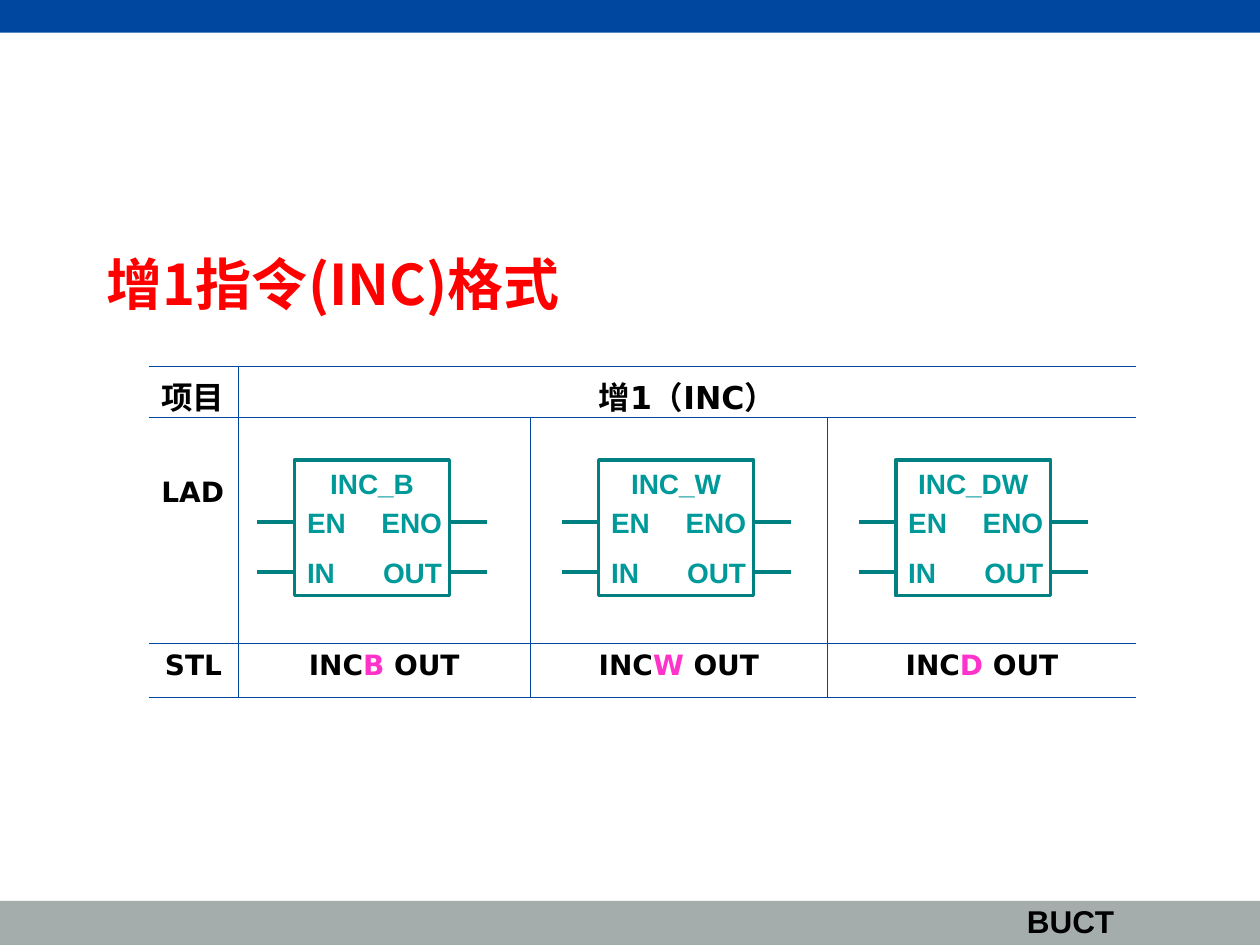
from lxml.etree import SubElement
from pptx import Presentation
from pptx.dml.color import RGBColor
from pptx.enum.shapes import MSO_CONNECTOR, MSO_SHAPE
from pptx.enum.text import MSO_ANCHOR, PP_ALIGN
from pptx.oxml.ns import qn
from pptx.util import Cm, Pt

BLUE = RGBColor(0x00, 0x47, 0xA0)
GRAY = RGBColor(0xA5, 0xAD, 0xAC)
RED = RGBColor(0xFF, 0x00, 0x00)
BLACK = RGBColor(0x00, 0x00, 0x00)
PINK = RGBColor(0xFF, 0x33, 0xCC)
TEAL = RGBColor(0x00, 0x80, 0x80)
LIGHT_TEAL = RGBColor(0x00, 0x99, 0x99)

BLOCKS = [("INC_B", 5.94), ("INC_W", 12.07), ("INC_DW", 18.06)]
BLOCK_TOP, BLOCK_W, BLOCK_H = 9.27, 3.12, 2.74
LEAD = 0.75
LABEL_H = 0.94
PINS = [("EN", "ENO", 10.52), ("IN", "OUT", 11.53)]


def style(p, size, font, color, align=PP_ALIGN.LEFT):
    p.alignment = align
    p.font.size = Pt(size)
    p.font.name = font
    p.font.bold = True
    p.font.color.rgb = color


def add_text(shapes, text, x, y, w, h, size, font, color, align=PP_ALIGN.LEFT):
    tf = shapes.add_textbox(Cm(x), Cm(y), Cm(w), Cm(h)).text_frame
    tf.word_wrap = True
    tf.vertical_anchor = MSO_ANCHOR.MIDDLE
    p = tf.paragraphs[0]
    p.add_run().text = text
    style(p, size, font, color, align)


def add_rect(shapes, x, y, w, h, fill=None, line=None):
    sp = shapes.add_shape(MSO_SHAPE.RECTANGLE, Cm(x), Cm(y), Cm(w), Cm(h))
    sp.shadow.inherit = False
    if fill is None:
        sp.fill.background()
    else:
        sp.fill.solid()
        sp.fill.fore_color.rgb = fill
    if line is None:
        sp.line.fill.background()
    else:
        sp.line.color.rgb = line
        sp.line.width = Pt(2)


def add_wire(shapes, x, y):
    wire = shapes.add_connector(MSO_CONNECTOR.STRAIGHT, Cm(x), Cm(y), Cm(x + LEAD), Cm(y))
    wire.line.color.rgb = TEAL
    wire.line.width = Pt(2)
    SubElement(wire._element.spPr, qn("a:effectLst"))


def add_block(shapes, name, x):
    group = shapes.add_group_shape().shapes
    add_rect(group, x, BLOCK_TOP, BLOCK_W, BLOCK_H, line=TEAL)
    add_text(group, name, x, BLOCK_TOP, BLOCK_W, LABEL_H,
             16, "Arial", LIGHT_TEAL, PP_ALIGN.CENTER)
    for left, right, y in PINS:
        top = y - LABEL_H / 2
        add_text(group, left, x, top, 1.5, LABEL_H, 16, "Arial", LIGHT_TEAL)
        add_text(group, right, x + 1.3, top, 1.92, LABEL_H,
                 16, "Arial", LIGHT_TEAL, PP_ALIGN.RIGHT)
        add_wire(group, x - LEAD, y)
        add_wire(group, x + BLOCK_W, y)


def set_borders(cell, **widths):
    tcPr = cell._tc.get_or_add_tcPr()
    for i, side in enumerate("LRTB"):
        width = widths.get(side)
        ln = tcPr.makeelement(qn(f"a:ln{side}"), {})
        if width is None:
            SubElement(ln, qn("a:noFill"))
        else:
            ln.set("w", str(Pt(width)))
            fill = SubElement(ln, qn("a:solidFill"))
            SubElement(fill, qn("a:srgbClr"), val=str(BLUE))
        tcPr.insert(i, ln)


def fill_cell(cell, parts, size=16, align=PP_ALIGN.CENTER, top=0.13):
    cell.margin_top = Cm(top)
    cell.margin_bottom = Cm(0)
    p = cell.text_frame.paragraphs[0]
    for text, color in parts:
        r = p.add_run()
        r.text = text
        if color != BLACK:
            r.font.color.rgb = color
    style(p, size, "DejaVu Sans", BLACK, align)


def add_format_table(shapes):
    cols = [1.8, 5.89, 5.99, 6.23]
    rows = [1.02, 4.55, 1.09]
    table = shapes.add_table(len(rows), len(cols), Cm(3), Cm(7.39),
                             Cm(sum(cols)), Cm(sum(rows))).table
    table.first_row = False
    table.horz_banding = False
    for col, width in zip(table.columns, cols):
        col.width = Cm(width)
    for row, height in zip(table.rows, rows):
        row.height = Cm(height)
    for i in range(len(rows)):
        for j in range(len(cols)):
            cell = table.cell(i, j)
            cell.fill.background()
            inner = j > 0 and (i > 0 or j == 1)
            next_inner = j < len(cols) - 1 and (i > 0 or j == 0)
            set_borders(cell, T=1 if i == 0 else 0.5, B=0.5,
                        L=0.5 if inner else None, R=0.5 if next_inner else None)
    table.cell(0, 1).merge(table.cell(0, 3))
    fill_cell(table.cell(0, 0), [("项目", BLACK)], 18, PP_ALIGN.LEFT)
    fill_cell(table.cell(0, 1), [("增1（INC）", BLACK)], 18)
    fill_cell(table.cell(1, 0), [("LAD", BLACK)], align=PP_ALIGN.LEFT, top=1.2)
    fill_cell(table.cell(2, 0), [("STL", BLACK)])
    for j, suffix in enumerate("BWD", start=1):
        fill_cell(table.cell(2, j), [("INC", BLACK), (suffix, PINK), (" OUT", BLACK)])


def main():
    prs = Presentation()
    prs.slide_width, prs.slide_height = Cm(25.4), Cm(19.05)
    shapes = prs.slides.add_slide(prs.slide_layouts[6]).shapes
    add_rect(shapes, 0, 18.16, 25.4, 0.9, fill=GRAY)
    add_rect(shapes, 0, 0, 25.4, 0.66, fill=BLUE)
    add_text(shapes, "BUCT", 20.45, 18.06, 2.4, 1.02, 18, "Arial", BLACK)
    add_text(shapes, "增1指令(INC)格式", 1.07, 4.75, 11.3, 1.9,
             32, "Noto Sans CJK SC", RED, PP_ALIGN.CENTER)
    add_format_table(shapes)
    for name, x in BLOCKS:
        add_block(shapes, name, x)
    prs.save("out.pptx")


if __name__ == "__main__":
    main()
